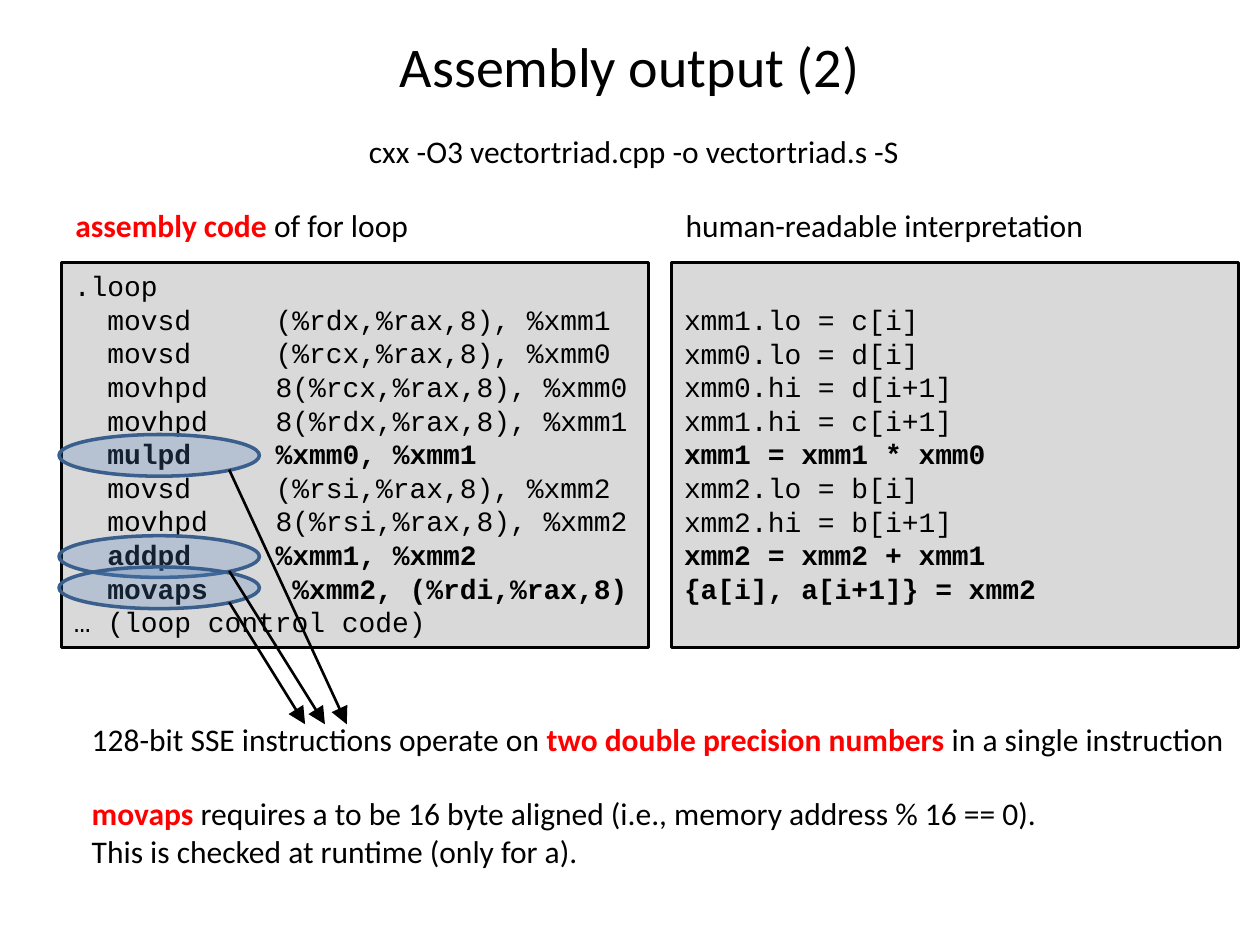
from lxml.etree import SubElement
from pptx import Presentation
from pptx.dml.color import RGBColor
from pptx.enum.shapes import MSO_CONNECTOR, MSO_SHAPE
from pptx.enum.text import MSO_ANCHOR, PP_ALIGN
from pptx.oxml.ns import qn
from pptx.util import Cm, Pt

ASM = [
    ".loop",
    "\tmovsd\t(%rdx,%rax,8), %xmm1",
    "\tmovsd\t(%rcx,%rax,8), %xmm0",
    "\tmovhpd\t8(%rcx,%rax,8), %xmm0",
    "\tmovhpd\t8(%rdx,%rax,8), %xmm1",
    "|\tmulpd\t%xmm0, %xmm1",
    "\tmovsd\t(%rsi,%rax,8), %xmm2",
    "\tmovhpd\t8(%rsi,%rax,8), %xmm2",
    "|\taddpd\t%xmm1, %xmm2",
    "|\tmovaps\t %xmm2, (%rdi,%rax,8)",
    "… (loop control code)",
]
MEANING = [
    "xmm1.lo = c[i]",
    "xmm0.lo = d[i]",
    "xmm0.hi = d[i+1]",
    "xmm1.hi = c[i+1]",
    "|xmm1 = xmm1 * xmm0",
    "xmm2.lo = b[i]",
    "xmm2.hi = b[i+1]",
    "|xmm2 = xmm2 + xmm1",
    "|{a[i], a[i+1]} = xmm2",
]
CHAR = 0.339
LINE = 0.68


def color(code):
    """Turn a hex string into a colour."""
    return RGBColor.from_string(code)


def write(frame, lines, size=18, font="Calibri", strong="FF0000", align=PP_ALIGN.LEFT):
    """Fill a frame with lines whose parts after each odd bar are bold."""
    frame.word_wrap = True
    for i, line in enumerate(lines):
        para = frame.paragraphs[0] if i == 0 else frame.add_paragraph()
        para.alignment = align
        for j, part in enumerate(line.split("|")):
            if not part:
                continue
            run = para.add_run()
            run.text = part
            run.font.name = font
            run.font.size = Pt(size)
            run.font.bold = j % 2 == 1
            run.font.color.rgb = color(strong if j % 2 else "000000")


def label(slide, box, line, **style):
    """Place one text box and return its frame."""
    frame = slide.shapes.add_textbox(*map(Cm, box)).text_frame
    write(frame, [line], **style)
    return frame


def outline(slide, kind, box, fill, line, width):
    """Place a filled and outlined preset shape."""
    shape = slide.shapes.add_shape(kind, *map(Cm, box))
    shape.shadow.inherit = False
    shape.fill.solid()
    shape.fill.fore_color.rgb = color(fill)
    shape.line.color.rgb = color(line)
    shape.line.width = Pt(width)
    return shape


def heading(slide, box):
    """Place the title and the compiler command below it."""
    x, y, w, h = box
    frame = label(slide, (x, y, w, 1.78), "Assembly output (2)", size=32, align=PP_ALIGN.CENTER)
    frame.vertical_anchor = MSO_ANCHOR.MIDDLE
    label(slide, (x + 0.08, y + h - 1.02, w, 1.02),
          "cxx -O3 vectortriad.cpp -o vectortriad.s -S", align=PP_ALIGN.CENTER)


def panel(slide, box, title, lines, skip=0):
    """Place a titled code panel, starting some lines down."""
    x, y, w, h = box
    label(slide, (x + 0.03, y, w, 1.02), title)
    shape = outline(slide, MSO_SHAPE.RECTANGLE, (x, y + 1.27, w, h - 1.27), "D9D9D9", "000000", 1.5)
    frame = shape.text_frame
    frame.vertical_anchor = MSO_ANCHOR.TOP
    frame.margin_top = Cm(0.13 + skip * LINE)
    write(frame, lines, 16, "Courier New", "000000")
    for para in frame.paragraphs:
        if "\t" in para.text:
            tabs = SubElement(para._p.get_or_add_pPr(), qn("a:tabLst"))
            for count in (2, 12):
                SubElement(tabs, qn("a:tab"), pos=str(Cm(count * CHAR)), algn="l")


def ring(slide, box):
    """Place a see-through ellipse around one instruction."""
    shape = outline(slide, MSO_SHAPE.OVAL, box, "4F81BD", "3A5F8C", 2)
    tint = shape._element.spPr.find(qn("a:solidFill"))[0]
    SubElement(tint, qn("a:alpha"), val="25000")


def arrow(slide, start, end):
    """Draw an arrow from start to end."""
    link = slide.shapes.add_connector(MSO_CONNECTOR.STRAIGHT, *map(Cm, start + end))
    link.line.color.rgb = color("000000")
    link.line.width = Pt(1.5)
    edge = link._element.spPr.find(qn("a:ln"))
    SubElement(edge, qn("a:tailEnd"), type="triangle", w="lg", len="lg")
    SubElement(link._element.spPr, qn("a:effectLst"))


def marks(slide, box):
    """Ring the packed instructions and point from each to the notes."""
    x, y, w, h = box
    rows = [(0, 5.8), (2.04, 5.36), (2.67, 4.96)]
    for drop, _ in rows:
        ring(slide, (x, y + drop, w, 0.84))
    for drop, shift in reversed(rows):
        arrow(slide, (x + 3.43, y + drop + 0.71), (x + shift, y + h))


def notes(slide, box):
    """Place the two remarks at the foot."""
    x, y, w, h = box
    label(slide, (x, y, w, 1.02),
          "128-bit SSE instructions operate on |two double precision numbers"
          "| in a single instruction")
    label(slide, (x, y + 1.48, 20.5, h - 1.48),
          "|movaps| requires a to be 16 byte aligned (i.e., memory address % 16 == 0). "
          "This is checked at runtime (only for a).")


def main():
    """Build the slide and save it."""
    deck = Presentation()
    deck.slide_width, deck.slide_height = Cm(25.4), Cm(19.05)
    slide = deck.slides.add_slide(deck.slide_layouts[6])
    heading(slide, (1.27, 0.43, 22.86, 3.13))
    panel(slide, (1.24, 4.02, 11.84, 9.04), "|assembly code| of for loop", ASM)
    panel(slide, (13.54, 4.02, 11.43, 9.04), "human-readable interpretation", MEANING, 1)
    marks(slide, (1.19, 8.76, 4.04, 5.84))
    notes(slide, (1.6, 14.4, 23.75, 3.28))
    deck.save("out.pptx")


if __name__ == "__main__":
    main()
